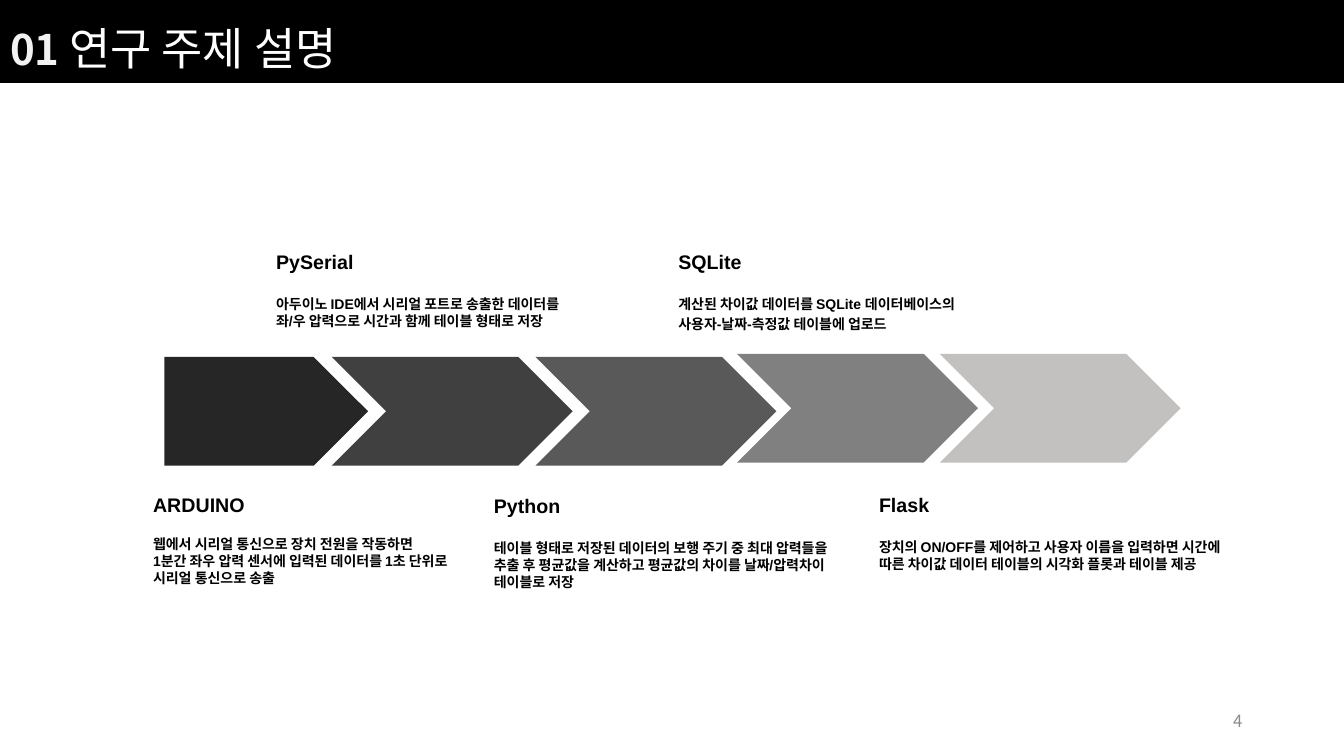
from lxml import etree
from pptx import Presentation
from pptx.dml.color import RGBColor
from pptx.enum.shapes import MSO_SHAPE
from pptx.enum.text import MSO_ANCHOR, MSO_AUTO_SIZE, PP_ALIGN
from pptx.oxml.ns import qn
from pptx.util import Inches, Pt

RECTANGLE, PENTAGON, CHEVRON = MSO_SHAPE.RECTANGLE, MSO_SHAPE.PENTAGON, MSO_SHAPE.CHEVRON
TOP, MIDDLE = MSO_ANCHOR.TOP, MSO_ANCHOR.MIDDLE
LEFT, RIGHT = PP_ALIGN.LEFT, PP_ALIGN.RIGHT
NO_AUTOFIT = MSO_AUTO_SIZE.NONE
TITLE_ONLY = 5
KOREAN_FONT = "Noto Sans CJK KR"

# left, top, width, colour, opacity in percent
ARROWS = [
    (1.63, 3.54, 2.02, "262626", 100),
    (3.29, 3.54, 2.39, "404040", 100),
    (5.31, 3.54, 2.39, "595959", 100),
    (7.31, 3.51, 2.39, "808080", 100),
    (9.32, 3.51, 2.39, "AFABAB", 75),
]
ARROW_HEIGHT = 1.08

# box, heading, gap under the heading in points, gap between lines, lines
STEPS = [
    ((2.64, 2.43, 3.3, 0.9), "PySerial", 16, 0,
     ["아두이노 IDE에서 시리얼 포트로 송출한 데이터를 좌/우 압력으로 시간과 함께 테이블 형태로 저장"]),
    ((4.8, 4.85, 3.67, 1), "Python", 16, 0,
     ["테이블 형태로 저장된 데이터의 보행 주기 중 최대 압력들을 추출 후 평균값을 계산하고 "
      "평균값의 차이를 날짜/압력차이 테이블로 저장"]),
    ((6.63, 2.43, 3.67, 0.86), "SQLite", 16, 2,
     ["계산된 차이값 데이터를 SQLite 데이터베이스의",
      "사용자-날짜-측정값 테이블에 업로드"]),
    ((1.42, 4.84, 3.67, 1.03), "ARDUINO", 14, 0,
     ["웹에서 시리얼 통신으로 장치 전원을 작동하면",
      "1분간 좌우 압력 센서에 입력된 데이터를 1초 단위로",
      "시리얼 통신으로 송출"]),
    ((8.62, 4.84, 3.67, 1), "Flask", 16, 0,
     ["장치의 ON/OFF를 제어하고 사용자 이름을 입력하면 시간에 따른 차이값 데이터 테이블의 "
      "시각화 플롯과 테이블 제공"]),
]


def color(hex_string):
    return RGBColor.from_string(hex_string)


def set_attributes(target, values):
    for name, value in values.items():
        setattr(target, name, value)


def place(shape, box):
    names = ("left", "top", "width", "height")
    set_attributes(shape, dict(zip(names, map(Inches, box))))


def add_run(paragraph, text, size, hex_string, font="Arial", bold=False):
    run = paragraph.add_run()
    run.text = text
    set_attributes(run.font, {"size": Pt(size), "bold": bold, "name": font})
    run.font.color.rgb = color(hex_string)
    if font == KOREAN_FONT:
        etree.SubElement(run.font._element, qn("a:ea"), typeface=font)


def add_filled_shape(shapes, kind, box, fill, opacity=100):
    shape = shapes.add_shape(kind, *map(Inches, box))
    shape.shadow.inherit = False
    shape.fill.solid()
    shape.fill.fore_color.rgb = color(fill)
    shape.line.fill.background()
    if opacity < 100:
        fill_color = shape._element.spPr.find(qn("a:solidFill"))[0]
        etree.SubElement(fill_color, qn("a:alpha"), val=str(opacity * 1000))
    return shape


def add_header(slide, box):
    left, top, width, height = box
    band = add_filled_shape(slide.shapes, RECTANGLE, box, "000000")
    band.line.color.rgb = color("000000")
    band.line.width = Pt(2)
    title = slide.shapes.title
    title._element.addprevious(band._element)
    place(title, (left, top + 0.16, 4.4, 1.13))
    set_attributes(title.text_frame, {
        "vertical_anchor": TOP, "word_wrap": True, "auto_size": NO_AUTOFIT})
    paragraph = title.text_frame.paragraphs[0]
    paragraph.alignment = LEFT
    add_run(paragraph, "01 ", 30, "F2F2F2", KOREAN_FONT, True)
    add_run(paragraph, "연구 주제 설명", 32, "FFFFFF", KOREAN_FONT)


def add_arrows(slide):
    group = slide.shapes.add_group_shape()
    for index, (left, top, width, fill, opacity) in enumerate(ARROWS):
        kind = CHEVRON if index else PENTAGON
        box = (left, top, width, ARROW_HEIGHT)
        arrow = add_filled_shape(group.shapes, kind, box, fill, opacity)
        arrow.adjustments[0] = 0.5


def add_step(slide, box, heading, heading_gap, line_gap, lines):
    frame = slide.shapes.add_textbox(*map(Inches, box)).text_frame
    frame.word_wrap = True
    add_run(frame.paragraphs[0], heading, 14, "000000", bold=True)
    for index, line in enumerate(lines):
        paragraph = frame.add_paragraph()
        paragraph.space_before = Pt(line_gap if index else heading_gap)
        add_run(paragraph, line, 10, "000000", bold=True)


def add_page_number(slide, box, number):
    frame = slide.shapes.add_textbox(*map(Inches, box)).text_frame
    set_attributes(frame, {"vertical_anchor": MIDDLE, "word_wrap": True})
    frame.paragraphs[0].alignment = RIGHT
    add_run(frame.paragraphs[0], number, 12, "8B8B8B", KOREAN_FONT)


def main():
    presentation = Presentation()
    set_attributes(presentation, {
        "slide_width": Inches(13.33), "slide_height": Inches(7.5)})
    slide = presentation.slides.add_slide(presentation.slide_layouts[TITLE_ONLY])
    add_page_number(slide, (9.42, 6.95, 3, 0.4), "4")
    add_header(slide, (0, 0, 13.33, 0.81))
    add_arrows(slide)
    for step in STEPS:
        add_step(slide, *step)
    presentation.save("out.pptx")


if __name__ == "__main__":
    main()
